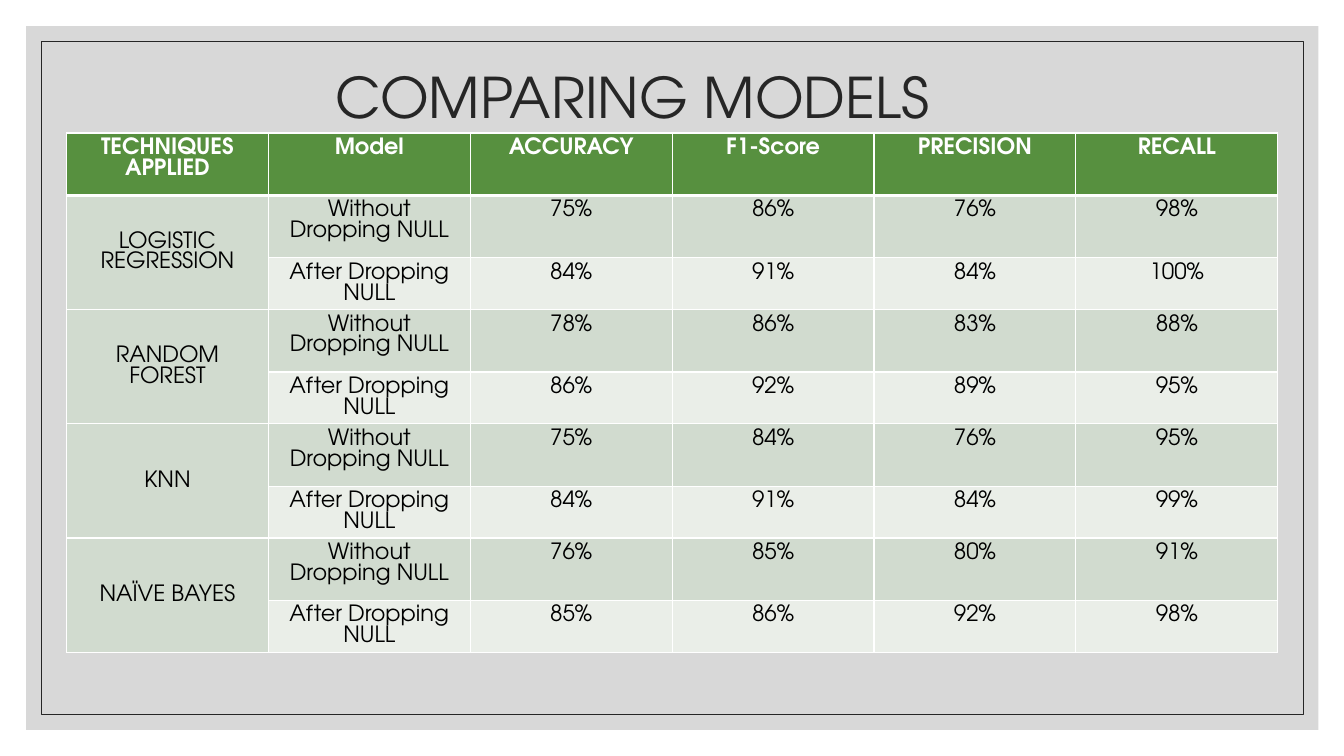
from lxml.etree import SubElement
from pptx import Presentation
from pptx.dml.color import RGBColor
from pptx.enum.shapes import MSO_SHAPE
from pptx.enum.text import MSO_ANCHOR, MSO_AUTO_SIZE, PP_ALIGN
from pptx.oxml.ns import qn
from pptx.util import Pt

FONT = "TeX Gyre Adventor"
COLOURS = {
    "panel": "BFBFBF",
    "ink": "262626",
    "header": "57903F",
    "dark_band": "D1DBCF",
    "light_band": "EAEEE8",
    "white": "FFFFFF",
    "black": "000000",
}
HEADINGS = ["TECHNIQUES APPLIED", "Model", "ACCURACY", "F1-Score", "PRECISION", "RECALL"]
VARIANTS = ["Without Dropping NULL", "After Dropping NULL"]
SCORES = {
    "LOGISTIC REGRESSION": [(75, 86, 76, 98), (84, 91, 84, 100)],
    "RANDOM FOREST": [(78, 86, 83, 88), (86, 92, 89, 95)],
    "KNN": [(75, 84, 76, 95), (84, 91, 84, 99)],
    "NAÏVE BAYES": [(76, 85, 80, 91), (85, 86, 92, 98)],
}
COLUMN_WIDTH = 144.2
TALL_ROW = 44.6
SHORT_ROW = 37


def colour(name):
    return RGBColor.from_string(COLOURS[name])


def format_text(frame, size, ink, align, bold=False):
    for para in frame.paragraphs:
        para.alignment = align
        for span in para.runs:
            span.font.name = FONT
            span.font.size = Pt(size)
            span.font.bold = bold
            span.font.color.rgb = colour(ink)


def add_box(page, left, top, width, height):
    box = page.shapes.add_shape(
        MSO_SHAPE.RECTANGLE, Pt(left), Pt(top), Pt(width), Pt(height)
    )
    box.shadow.inherit = False
    return box


def add_panel(page):
    panel = add_box(page, 18.7, 18.7, 923, 502.6)
    panel.fill.solid()
    panel.fill.fore_color.rgb = colour("panel")
    panel.line.fill.background()
    tint = panel.fill._xPr.find(qn("a:solidFill"))[0]
    SubElement(tint, qn("a:alpha"), val="60000")


def add_frame(page):
    frame = add_box(page, 29.5, 29.5, 901.4, 481)
    frame.fill.background()
    frame.line.color.rgb = colour("ink")
    frame.line.width = Pt(0.5)


def place_title(page, text):
    title = page.shapes.title
    title.element.getparent().append(title.element)
    title.left, title.top = Pt(232.6), Pt(32.4)
    title.width, title.height = Pt(617.8), Pt(79.2)
    frame = title.text_frame
    frame.text = text
    frame.auto_size = MSO_AUTO_SIZE.NONE
    frame.vertical_anchor = MSO_ANCHOR.MIDDLE
    frame.paragraphs[0].line_spacing = 0.9
    format_text(frame, 40, "ink", PP_ALIGN.LEFT)


def set_borders(cell, bottom):
    properties = cell._tc.get_or_add_tcPr()
    for side, width in (("L", 1), ("R", 1), ("T", 1), ("B", bottom)):
        line = SubElement(properties, qn(f"a:ln{side}"), w=str(Pt(width)))
        fill = SubElement(line, qn("a:solidFill"))
        SubElement(fill, qn("a:srgbClr"), val=COLOURS["white"])


def fill_cell(cell, text, band, ink="black", bold=False, bottom=1):
    set_borders(cell, bottom)
    cell.fill.solid()
    cell.fill.fore_color.rgb = colour(band)
    cell.text_frame.text = text
    format_text(cell.text_frame, 16, ink, PP_ALIGN.CENTER, bold)


def add_scores(page):
    row_count = 1 + len(SCORES) * len(VARIANTS)
    column_count = len(HEADINGS)
    height = TALL_ROW + len(SCORES) * (TALL_ROW + SHORT_ROW)
    table = page.shapes.add_table(
        row_count, column_count, Pt(47.5), Pt(95),
        Pt(COLUMN_WIDTH * column_count), Pt(height),
    ).table
    for column in table.columns:
        column.width = Pt(COLUMN_WIDTH)
    for index, row in enumerate(table.rows):
        row.height = Pt(SHORT_ROW if index and index % 2 == 0 else TALL_ROW)

    for index, heading in enumerate(HEADINGS):
        fill_cell(table.cell(0, index), heading, "header", "white", True, 3)
    for group, (technique, results) in enumerate(SCORES.items()):
        first = 1 + group * len(VARIANTS)
        for offset, (variant, values) in enumerate(zip(VARIANTS, results)):
            band = ("dark_band", "light_band")[offset]
            texts = [variant] + [f"{value}%" for value in values]
            for index, text in enumerate(texts, 1):
                fill_cell(table.cell(first + offset, index), text, band)
        name_cell = table.cell(first, 0)
        name_cell.merge(table.cell(first + 1, 0))
        name_cell.vertical_anchor = MSO_ANCHOR.MIDDLE
        fill_cell(name_cell, technique, "dark_band")
        set_borders(table.cell(first + 1, 0), 1)


def main():
    deck = Presentation()
    deck.slide_width, deck.slide_height = Pt(960), Pt(540)
    page = deck.slides.add_slide(deck.slide_layouts[5])
    add_panel(page)
    add_frame(page)
    place_title(page, "COMPARING MODELS")
    add_scores(page)
    deck.save("out.pptx")


if __name__ == "__main__":
    main()
